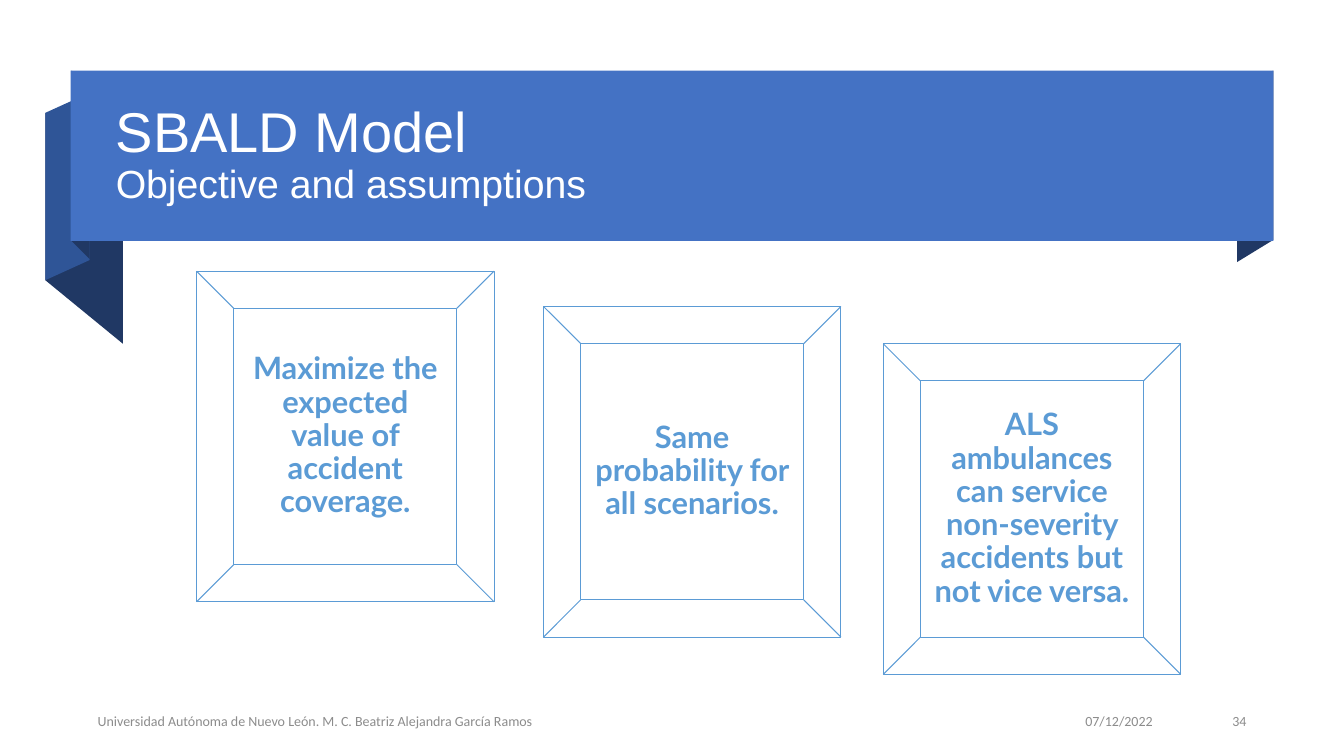
import pptx
import pptx.util
import pptx.dml.color
import pptx.enum.shapes
import pptx.enum.text

RGBColor = pptx.dml.color.RGBColor
SHAPE = pptx.enum.shapes.MSO_SHAPE
ALIGN = pptx.enum.text.PP_ALIGN
Pt = pptx.util.Pt

PX = 9144
WHITE = RGBColor(0xFF, 0xFF, 0xFF)
BLUE = RGBColor(0x44, 0x72, 0xC4)
MID_BLUE = RGBColor(0x2F, 0x55, 0x97)
NAVY = RGBColor(0x20, 0x38, 0x64)
SKY = RGBColor(0x5B, 0x9B, 0xD5)
GRAY = RGBColor(0x8C, 0x8C, 0x8C)


def write(sp, lines, font, color, bold=False, align=ALIGN.LEFT,
          spacing=1.0, before=0, after=0):
    tf = sp.text_frame
    tf.word_wrap = True
    tf.vertical_anchor = pptx.enum.text.MSO_ANCHOR.MIDDLE
    p = tf.paragraphs[0]
    p.alignment = align
    p.line_spacing = spacing
    p.space_before = Pt(before)
    p.space_after = Pt(after)
    for i, (text, size) in enumerate(lines):
        if i:
            p.add_line_break()
        r = p.add_run()
        r.text = text
        r.font.name = font
        r.font.size = Pt(size)
        r.font.bold = bold
        r.font.color.rgb = color


class Deck:
    def __init__(self, width, height):
        self.prs = pptx.Presentation()
        self.prs.slide_width = width * PX
        self.prs.slide_height = height * PX
        self.s = self.prs.slides.add_slide(self.prs.slide_layouts[6])

    def style(self, sp, fill=None, line=None):
        sp.shadow.inherit = False
        if fill is None:
            sp.fill.background()
        else:
            sp.fill.solid()
            sp.fill.fore_color.rgb = fill
        if line is None:
            sp.line.fill.background()
        else:
            sp.line.color.rgb = line
            sp.line.width = Pt(0.75)
        return sp

    def shape(self, kind, box, fill=None, line=None):
        sp = self.s.shapes.add_shape(kind, *(v * PX for v in box))
        return self.style(sp, fill, line)

    def fold(self, points, fill):
        fb = self.s.shapes.build_freeform(*points[0], scale=PX)
        fb.add_line_segments(points[1:], close=True)
        return self.style(fb.convert_to_shape(), fill)

    def text(self, box, lines, font, color, **fmt):
        sp = self.s.shapes.add_textbox(*(v * PX for v in box))
        write(sp, lines, font, color, **fmt)

    def frame(self, x, y, text):
        sp = self.shape(SHAPE.BEVEL, (x, y, 295, 328), line=SKY)
        write(sp, [(text, 22)], "Lato", SKY, bold=True,
              align=ALIGN.CENTER, spacing=0.9, before=10)


def main():
    deck = Deck(1333, 750)

    for points, fill in [
        ([(122, 341), (45, 278), (45, 112), (122, 175)], NAVY),
        ([(89, 258), (45, 278), (45, 112), (89, 92)], MID_BLUE),
        ([(89, 257), (71, 239), (71, 70), (89, 89)], NAVY),
        ([(1263, 238), (1227, 260), (1227, 91), (1263, 70)], NAVY),
    ]:
        deck.fold(points, fill)
    deck.shape(SHAPE.RECTANGLE, (70, 70, 1193, 169), fill=BLUE)
    deck.text((105, 88, 1123, 133),
              [("SBALD Model", 40), ("Objective and assumptions", 28)],
              "Arial", WHITE, spacing=0.9)

    for x, y, text in [
        (195, 269, "Maximize the expected value of accident coverage."),
        (539, 304, "Same probability for all scenarios."),
        (876, 341, "ALS ambulances can service non-severity accidents "
                   "but not vice versa."),
    ]:
        deck.frame(x, y, text)

    for x, width, text, align in [
        (87, 739, "Universidad Autónoma de Nuevo León. "
                  "M. C. Beatriz Alejandra García Ramos", ALIGN.LEFT),
        (844, 309, "07/12/2022", ALIGN.RIGHT),
        (1171, 75, "34", ALIGN.RIGHT),
    ]:
        deck.text((x, 698, width, 35), [(text, 10)], "Calibri", GRAY,
                  align=align, after=6)

    deck.prs.save("out.pptx")


if __name__ == "__main__":
    main()
